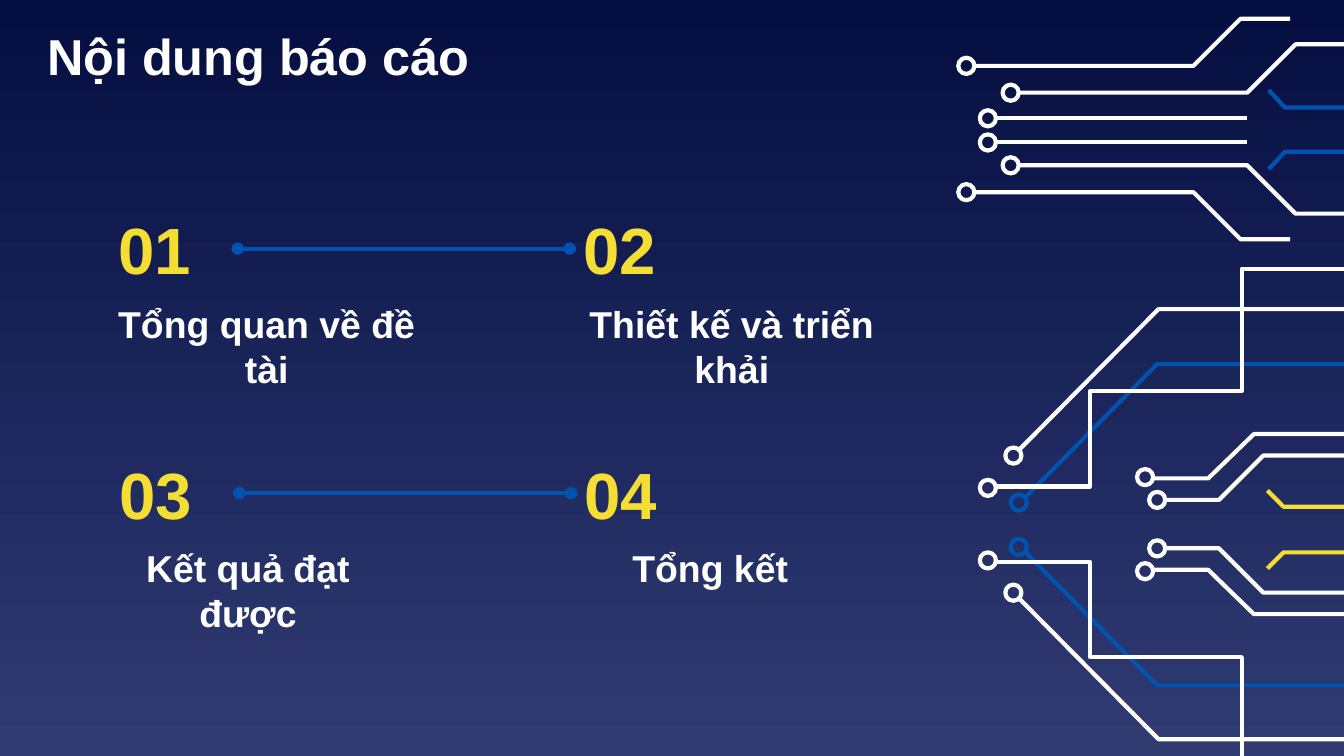
"""Build the report agenda slide: four numbered topics beside a circuit pattern."""
from lxml import etree
from pptx import Presentation
from pptx.dml.color import RGBColor
from pptx.enum import shapes, text
from pptx.oxml import ns
from pptx.util import Inches, Pt

WHITE, BLUE, YELLOW = "FFFFFF", "0152B1", "F5DE34"


def paint(color_format, color):
    color_format.rgb = RGBColor.from_string(color)


def write(box, words, size, color, align, anchor):
    frame = box.text_frame
    layout = {"word_wrap": True, "auto_size": text.MSO_AUTO_SIZE.NONE, "vertical_anchor": anchor}
    layout.update({f"margin_{side}": Inches(0.1) for side in ("left", "right", "top", "bottom")})
    for name, value in layout.items():
        setattr(frame, name, value)
    paragraph = frame.paragraphs[0]
    paragraph.alignment = align
    run = paragraph.add_run()
    run.text = words
    for name, value in {"name": "Arial", "size": Pt(size), "bold": True}.items():
        setattr(run.font, name, value)
    paint(run.font.color, color)


deck = Presentation()
deck.slide_width, deck.slide_height = Inches(10), Inches(5.625)
slide = deck.slides.add_slide(deck.slide_layouts[5])

backdrop = slide.background.fill
backdrop.gradient()
backdrop.gradient_angle = 270
for stop, color, position in zip(backdrop.gradient_stops, ("040E41", "303B72"), (0, 1)):
    paint(stop.color, color)
    stop.position = position

heading = slide.shapes.title
for name, value in {"left": 0.25, "top": 0.15, "width": 5.87, "height": 0.52}.items():
    setattr(heading, name, Inches(value))
write(heading, "Nội dung báo cáo", 27, WHITE, text.PP_ALIGN.LEFT, text.MSO_ANCHOR.MIDDLE)

traces = [
    (7.8, WHITE, (8.61, 3.72), [(8.66, 3.72), (9.07, 3.72), (9.4, 3.39), (10.2, 3.39)]),
    (7.8, WHITE, (8.52, 3.55), [(8.58, 3.56), (8.99, 3.56), (9.33, 3.23), (10.2, 3.23)]),
    (7.88, YELLOW, None, [(9.43, 3.65), (9.55, 3.77), (10.11, 3.77)]),
    (1.93, BLUE, None, [(9.44, 0.67), (9.56, 0.8), (10.13, 0.8)]),
    (7.81, BLUE, (7.58, 3.74), [(7.62, 3.71), (8.61, 2.71), (10.19, 2.71)]),
    (7.8, WHITE, (7.35, 3.63), [(7.41, 3.62), (8.11, 3.62), (8.11, 2.91), (9.24, 2.91), (9.24, 2), (10.2, 2)]),
    (7.8, WHITE, (7.54, 3.39), [(7.58, 3.35), (8.62, 2.3), (10.2, 2.3)]),
    (1.92, WHITE, (7.19, 0.49), [(7.24, 0.49), (8.88, 0.49), (9.23, 0.14), (9.6, 0.14)]),
    (1.92, WHITE, (7.52, 0.69), [(7.58, 0.69), (9.28, 0.69), (9.64, 0.33), (10.25, 0.33)]),
    (1.94, WHITE, (7.35, 0.88), [(7.41, 0.88), (9.28, 0.88)]),
]
for mirror_sum, color, node, points in traces:
    for mirrored in (False, True):
        route = [(Inches(x), Inches(mirror_sum - y if mirrored else y)) for x, y in points]
        pen = slide.shapes.build_freeform(*route[0], scale=1.0)
        pen.add_line_segments(route[1:], close=False)
        parts = [pen.convert_to_shape()]
        if node:
            x, y = node[0], mirror_sum - node[1] if mirrored else node[1]
            parts.append(slide.shapes.add_shape(
                shapes.MSO_SHAPE.OVAL, Inches(x - 0.06), Inches(y - 0.06), Inches(0.12), Inches(0.12)))
        for part in parts:
            part.shadow.inherit = False
            part.fill.background()
            part.line.width = Pt(2.25)
            paint(part.line.color, color)

topics = [
    ("01", 0.78, 1.56, "Tổng quan về đề tài", 0.78, 0.78),
    ("02", 4.24, 1.56, "Thiết kế và triển khải", 4.24, 0.94),
    ("03", 0.79, 3.38, "Kết quả đạt được", 0.64, 1.13),
    ("04", 4.25, 3.38, "Tổng kết", 4.08, 1.13),
]
numbers = []
for number, left, top, topic, topic_left, topic_height in topics:
    label = slide.shapes.add_textbox(Inches(topic_left), Inches(top + 0.58), Inches(2.41), Inches(topic_height))
    write(label, topic, 20, WHITE, text.PP_ALIGN.CENTER, text.MSO_ANCHOR.TOP)
    badge = slide.shapes.add_textbox(Inches(left), Inches(top), Inches(0.99), Inches(0.58))
    write(badge, number, 35, YELLOW, text.PP_ALIGN.LEFT, text.MSO_ANCHOR.MIDDLE)
    numbers.append(badge)

for first, second in zip(numbers[::2], numbers[1::2]):
    link = slide.shapes.add_connector(shapes.MSO_CONNECTOR.STRAIGHT, 0, 0, 0, 0)
    link.begin_connect(first, 3)
    link.end_connect(second, 1)
    link.line.width = Pt(2.25)
    paint(link.line.color, BLUE)
    outline = link._element.spPr.find(ns.qn("a:ln"))
    for end in ("a:headEnd", "a:tailEnd"):
        etree.SubElement(outline, ns.qn(end), type="oval")
    etree.SubElement(link._element.spPr, ns.qn("a:effectLst"))

deck.save("out.pptx")
